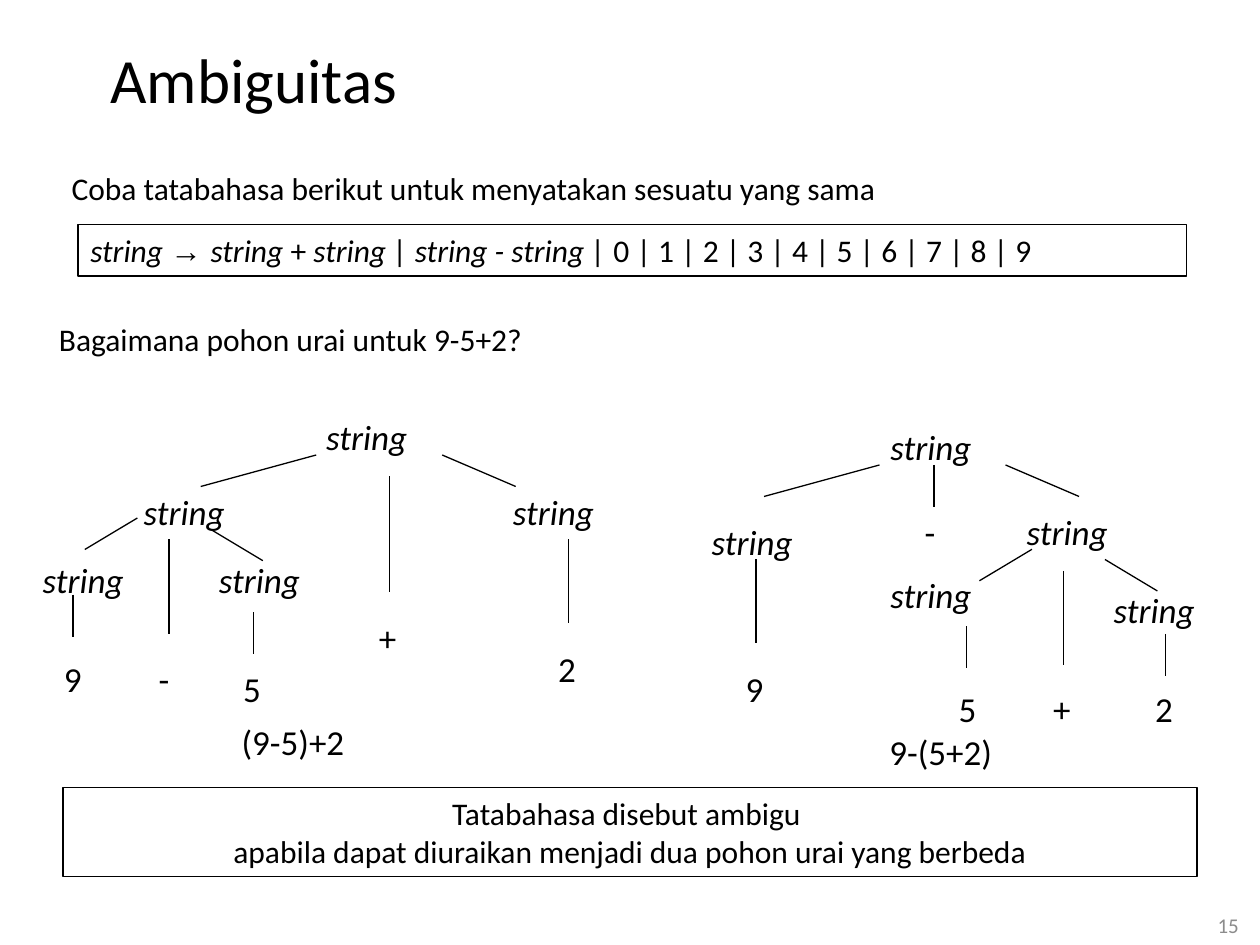
"""Build the slide on ambiguous grammars with its two parse trees."""
from dataclasses import dataclass
from typing import Any, NamedTuple

import lxml.etree
import pptx
import pptx.dml.color
import pptx.enum.shapes
import pptx.enum.text
import pptx.oxml.ns
import pptx.util

Pt = pptx.util.Pt
Align = pptx.enum.text.PP_ALIGN
Anchor = pptx.enum.text.MSO_ANCHOR


@dataclass(frozen=True)
class Theme:
    font: str = "Calibri"
    arrow_font: str = "Arial"
    ink: str = "000000"
    muted: str = "8C8C8C"
    title: float = 36
    body: float = 18
    node: float = 20
    number: float = 12
    line: float = 0.75


class Box(NamedTuple):
    x: float
    y: float
    w: float
    h: float


class Run(NamedTuple):
    text: str
    italic: bool = False
    font: str = ""


class Node(NamedTuple):
    text: str
    x: float
    y: float


class Edge(NamedTuple):
    x: float
    y: float
    dx: float
    dy: float


class Tree(NamedTuple):
    nodes: list[Node]
    edges: list[Edge]


THEME = Theme()
SYMBOL = "string"
NODE_HEIGHT = 31.5
NODE_WIDTHS = {SYMBOL: 61, "-": 21, "+": 25, "(9-5)+2": 75.6, "9-(5+2)": 75.6}
DIGIT_WIDTH = 24.5

ROOT_LEFT, ROOT_RIGHT = (-66, 18), (42, 18)
CHILD_LEFT, CHILD_RIGHT = (-30, 18), (30, 18)
SHORT, MEDIUM, LONG, LONGEST = (0, 24), (0, 48), (0, 54), (0, 66)

GRAMMAR = [
    Run("string ", True),
    Run("→ ", font=THEME.arrow_font),
    Run("string ", True),
    Run("+ "),
    Run("string | string - string | ", True),
    Run("0 | 1 | 2 | 3 | 4 | 5 | 6 | 7 | 8 | 9"),
]

TREES = [
    Tree(
        [
            Node(SYMBOL, 179.3, 234), Node(SYMBOL, 75, 276.5),
            Node(SYMBOL, 286, 276.5), Node(SYMBOL, 17.3, 315.4),
            Node(SYMBOL, 118, 315.4), Node("9", 29.5, 372.2),
            Node("-", 83.5, 372.2), Node("5", 131.8, 378),
            Node("+", 209.5, 348.5), Node("2", 311.8, 366.5),
            Node("(9-5)+2", 131, 408.2),
        ],
        [
            Edge(252.7, 260, *ROOT_RIGHT), Edge(180.7, 260, *ROOT_LEFT),
            Edge(120.2, 302.4, *CHILD_RIGHT), Edge(78.5, 296, *CHILD_LEFT),
            Edge(41.8, 339.8, *SHORT), Edge(96.5, 308.2, *LONG),
            Edge(144.7, 350, *SHORT), Edge(222.5, 272.2, *LONGEST),
            Edge(324.7, 308.2, *MEDIUM),
        ],
    ),
    Tree(
        [
            Node(SYMBOL, 501.8, 239.8), Node(SYMBOL, 399.6, 293.8),
            Node(SYMBOL, 501.8, 324), Node(SYMBOL, 579.6, 288),
            Node(SYMBOL, 629.3, 332.6), Node("5", 540.7, 389.5),
            Node("+", 594.7, 389.5), Node("2", 653, 389.5),
            Node("-", 521.3, 288), Node("9", 419, 378),
            Node("9-(5+2)", 501.1, 414),
        ],
        [
            Edge(574.6, 265.7, *ROOT_RIGHT), Edge(502.6, 265.7, *ROOT_LEFT),
            Edge(533.8, 265.7, *SHORT), Edge(432, 319.7, *MEDIUM),
            Edge(631.4, 319.7, *CHILD_RIGHT), Edge(589.7, 313.9, *CHILD_LEFT),
            Edge(552.4, 357.8, *SHORT), Edge(607.7, 326.2, *LONG),
            Edge(666, 362.2, *SHORT),
        ],
    ),
]


def rgb(value: str) -> pptx.dml.color.RGBColor:
    """Return the colour for a hex value."""
    return pptx.dml.color.RGBColor.from_string(value)


def fill_text(sp: Any, lines: list[list[Run]], size: float, color: str = THEME.ink,
              align: Any = Align.LEFT, anchor: Any = Anchor.TOP, wrap: bool = True) -> None:
    """Write one paragraph per line into a shape."""
    tf = sp.text_frame
    tf.word_wrap = wrap
    tf.vertical_anchor = anchor
    for i, runs in enumerate(lines):
        p = tf.add_paragraph() if i else tf.paragraphs[0]
        p.alignment = align
        p.font.name, p.font.size = THEME.font, Pt(size)
        p.font.color.rgb = rgb(color)
        for run in runs:
            r = p.add_run()
            r.text = run.text
            if run.italic:
                r.font.italic = True
            if run.font:
                r.font.name = run.font


def add_text(s: Any, box: Box, run: Run, size: float, **style: Any) -> None:
    """Add a single-line text box."""
    sp = s.shapes.add_textbox(*map(Pt, box))
    fill_text(sp, [[run]], size, **style)


def add_frame(s: Any, box: Box, lines: list[list[Run]], **style: Any) -> None:
    """Add an outlined rectangle with text."""
    sp = s.shapes.add_shape(pptx.enum.shapes.MSO_SHAPE.RECTANGLE, *map(Pt, box))
    sp.shadow.inherit = False
    sp.fill.background()
    sp.line.color.rgb = rgb(THEME.ink)
    sp.line.width = Pt(THEME.line)
    fill_text(sp, lines, THEME.body, **style)


def add_edge(s: Any, edge: Edge) -> None:
    """Add one branch of a parse tree."""
    sp = s.shapes.add_connector(
        pptx.enum.shapes.MSO_CONNECTOR.STRAIGHT,
        Pt(edge.x), Pt(edge.y), Pt(edge.x + edge.dx), Pt(edge.y + edge.dy))
    sp.line.color.rgb = rgb(THEME.ink)
    sp.line.width = Pt(THEME.line)
    lxml.etree.SubElement(sp._element.spPr, pptx.oxml.ns.qn("a:effectLst"))


def add_tree(s: Any, tree: Tree) -> None:
    """Add the branches and nodes of a parse tree."""
    for edge in tree.edges:
        add_edge(s, edge)
    for node in tree.nodes:
        box = Box(node.x, node.y, NODE_WIDTHS.get(node.text, DIGIT_WIDTH), NODE_HEIGHT)
        add_text(s, box, Run(node.text, node.text == SYMBOL), THEME.node, wrap=False)


def main() -> None:
    """Build and save the slide."""
    prs = pptx.Presentation()
    prs.slide_width, prs.slide_height = Pt(720), Pt(540)
    s = prs.slides.add_slide(prs.slide_layouts[6])
    add_text(s, Box(551.5, 517.5, 163.5, 22.5), Run("15"), THEME.number,
             color=THEME.muted, align=Align.RIGHT, anchor=Anchor.MIDDLE)
    add_text(s, Box(56, 0, 612, 90), Run("Ambiguitas"), THEME.title, anchor=Anchor.MIDDLE)
    add_text(s, Box(33.8, 93, 612.7, 36),
             Run("Coba tatabahasa berikut untuk menyatakan sesuatu yang sama"), THEME.body)
    add_frame(s, Box(44.6, 128.2, 633.6, 29.5), [GRAMMAR])
    add_text(s, Box(26.6, 179.3, 366.5, 36),
             Run("Bagaimana pohon urai untuk 9-5+2?"), THEME.body)
    for tree in TREES:
        add_tree(s, tree)
    add_frame(s, Box(36, 450, 648, 51),
              [[Run("Tatabahasa disebut ambigu ")],
               [Run("apabila dapat diuraikan menjadi dua pohon urai yang berbeda")]],
              align=Align.CENTER, anchor=Anchor.MIDDLE)
    prs.save("out.pptx")


if __name__ == "__main__":
    main()
